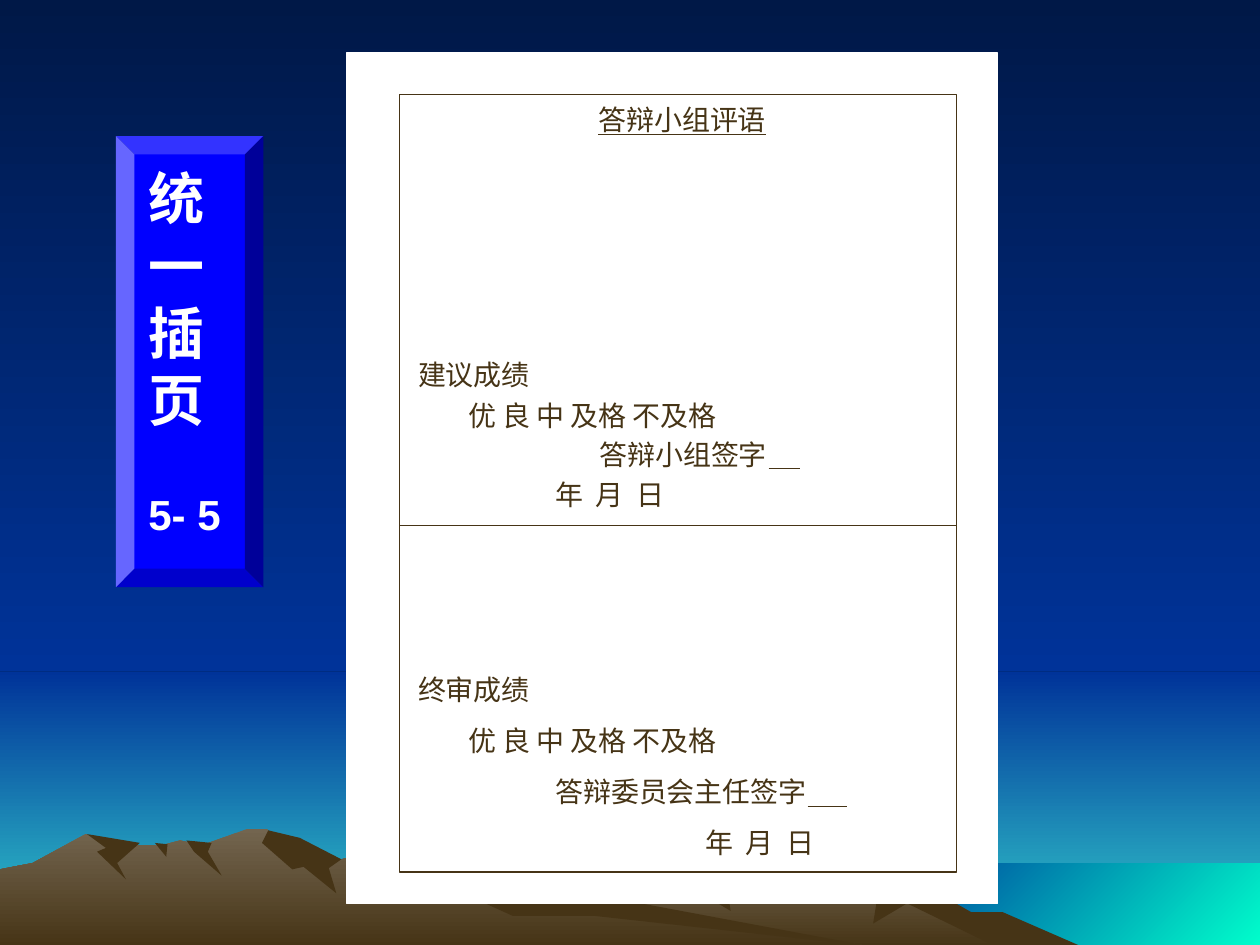
import pptx
import pptx.dml.color
import pptx.enum.shapes
import pptx.enum.text
import pptx.oxml
import pptx.util
from pptx.enum.shapes import MSO_CONNECTOR, MSO_SHAPE
from pptx.enum.text import MSO_ANCHOR, MSO_AUTO_SIZE, PP_ALIGN

PX = 9144  # 100 px to the inch
NIGHT, BLUE, TEAL, BROWN, WHITE = "001847", "003399", "33CCCC", "463416", "FFFFFF"
SERIF, SANS, CJK = "Times New Roman", "Arial", "Noto Sans CJK SC"

# Mountains, back to front: (fill, outline points in px)
MOUNTAINS = [
    (("847864", BROWN), [
        (821, 751), (764, 723), (685, 660), (566, 697), (465, 658), (327, 709), (258, 751)]),
    (BROWN, [
        (858, 751), (796, 724), (771, 724), (734, 703), (685, 660), (698, 702), (693, 733),
        (720, 717), (792, 752)]),
    (BROWN, [(529, 676), (526, 683), (536, 697), (580, 723), (576, 700), (592, 689)]),
    (("73654F", BROWN), [
        (690, 751), (432, 712), (354, 665), (271, 682), (236, 681), (212, 658), (196, 658),
        (160, 671), (143, 667), (128, 671), (94, 671), (68, 662), (26, 685), (0, 690),
        (0, 751)]),
    (BROWN, [
        (213, 659), (208, 669), (232, 690), (241, 688), (267, 709), (261, 689), (271, 682),
        (238, 665)]),
    (BROWN, [(354, 665), (339, 669), (374, 712), (407, 727), (472, 727), (690, 751), (455, 707)]),
    (BROWN, [(148, 667), (168, 669), (165, 676), (176, 695), (154, 676)]),
    (BROWN, [(133, 670), (132, 680), (123, 669)]),
    (BROWN, [(69, 662), (111, 669), (93, 685), (100, 698), (77, 676), (84, 673)]),
]

# Form lines: (text, left indent in px, formats of the paragraph, font)
TIGHT = {"line_spacing": 0.65}
GRADES = "优 良 中 及格 不及格"
FORM = [
    ("答辩小组评语", 0, {"alignment": PP_ALIGN.CENTER}, SERIF),
    ("建议成绩", 39, {"space_before": pptx.util.Pt(127)}, SERIF),
    (GRADES, 79, TIGHT, SERIF),
    ("答辩小组签字", 183, TIGHT, SERIF),
    ("年  月  日", 148, TIGHT, CJK),
    ("终审成绩", 39, {"space_before": pptx.util.Pt(93)}, SERIF),
    (GRADES, 79, {}, SERIF),
    ("答辩委员会主任签字", 148, {}, SERIF),
    ("年  月  日", 267, {}, CJK),
]


def rgb(value):
    return pptx.dml.color.RGBColor.from_string(value)


def apply(obj, formats):
    for name, value in formats.items():
        setattr(obj, name, value)


def paint(fill, colour, angle=270):
    """Fill with one colour, or with a gradient when given a pair."""
    if colour is None:
        fill.background()
    elif isinstance(colour, str):
        fill.solid()
        fill.fore_color.rgb = rgb(colour)
    else:
        fill.gradient()
        fill.gradient_angle = angle
        for position, (stop, value) in enumerate(zip(fill.gradient_stops, colour)):
            stop.color.rgb = rgb(value)
            stop.position = position


def finish(sp, fill, line=None, angle=270):
    sp.shadow.inherit = False
    paint(sp.fill, fill, angle)
    paint(sp.line.fill, line)
    if line:
        sp.line.width = pptx.util.Pt(0.75)


def add_box(s, box, fill, line=None, kind=MSO_SHAPE.RECTANGLE, angle=270):
    sp = s.shapes.add_shape(kind, *(v * PX for v in box))
    finish(sp, fill, line, angle)


def add_outline(s, points, fill):
    builder = s.shapes.build_freeform(*points[0], scale=PX)
    builder.add_line_segments(points[1:], close=True)
    finish(builder.convert_to_shape(), fill)


def add_line(s, x1, x2, y):
    line = s.shapes.add_connector(MSO_CONNECTOR.STRAIGHT, x1 * PX, y * PX, x2 * PX, y * PX)
    line.line.color.rgb = rgb(BROWN)
    line.line.width = pptx.util.Pt(0.75)
    line._element.spPr.append(pptx.oxml.parse_xml(
        '<a:effectLst xmlns:a="http://schemas.openxmlformats.org/drawingml/2006/main"/>'))


def set_frame(sp, box, top=5):
    apply(sp, dict(zip(("left", "top", "width", "height"), (v * PX for v in box))))
    tf = sp.text_frame
    apply(tf, {"word_wrap": True, "auto_size": MSO_AUTO_SIZE.NONE,
               "vertical_anchor": MSO_ANCHOR.TOP, "margin_left": 10 * PX,
               "margin_right": 10 * PX, "margin_top": top * PX, "margin_bottom": 5 * PX})
    return tf


def write(p, text, size, colour, formats, **font):
    apply(p, formats)
    r = p.add_run()
    r.text = text
    apply(r.font, {"size": pptx.util.Pt(size), **font})
    r.font.color.rgb = rgb(colour)


def add_form_text(s):
    tf = set_frame(s.shapes.add_textbox(0, 0, PX, PX), (283, 42, 517, 646), top=39)
    for i, (text, indent, formats, font) in enumerate(FORM):
        p = tf.add_paragraph() if i else tf.paragraphs[0]
        p._p.get_or_add_pPr().set("marL", str(indent * PX))
        base = {"alignment": PP_ALIGN.JUSTIFY, "space_before": pptx.util.Pt(10 if i else 0)}
        write(p, text, 16, BROWN, {**base, **formats}, name=font, underline=i == 0)


def main():
    prs = pptx.Presentation()
    prs.slide_width, prs.slide_height = 1000 * PX, 750 * PX
    s = prs.slides.add_slide(prs.slide_layouts[5])

    # Sky, sea and mountains
    paint(s.background.fill, (NIGHT, BLUE))
    add_box(s, (0, 533, 1000, 217), (BLUE, TEAL))
    add_box(s, (0, 0, 1000, 533), (NIGHT, BLUE))
    add_box(s, (683, 685, 317, 67), ("00FFCC", BLUE), angle=135)
    for fill, points in MOUNTAINS:
        add_outline(s, points, fill)

    # Side label, with the title brought in front of its bevel
    add_box(s, (92, 108, 117, 358), "0000FF", kind=MSO_SHAPE.BEVEL)
    title = s.shapes.title
    s.shapes._spTree.append(title._element)
    number = s.shapes.add_textbox(0, 0, PX, PX)
    for sp, box, text, size in ((title, (108, 125, 100, 224), "统一插页", 32),
                                (number, (108, 383, 100, 50), "5- 5", 24)):
        write(set_frame(sp, box).paragraphs[0], text, size, WHITE,
              {"alignment": PP_ALIGN.LEFT}, name=SANS, bold=True)

    # Form page with two panels and signature lines
    add_box(s, (275, 42, 517, 675), WHITE, WHITE)
    add_form_text(s)
    for top, height in ((75, 342), (417, 275)):
        add_box(s, (317, top, 442, height), None, BROWN)
    add_line(s, 610, 635, 372)
    add_line(s, 641, 672, 640)

    prs.save("out.pptx")


if __name__ == "__main__":
    main()
